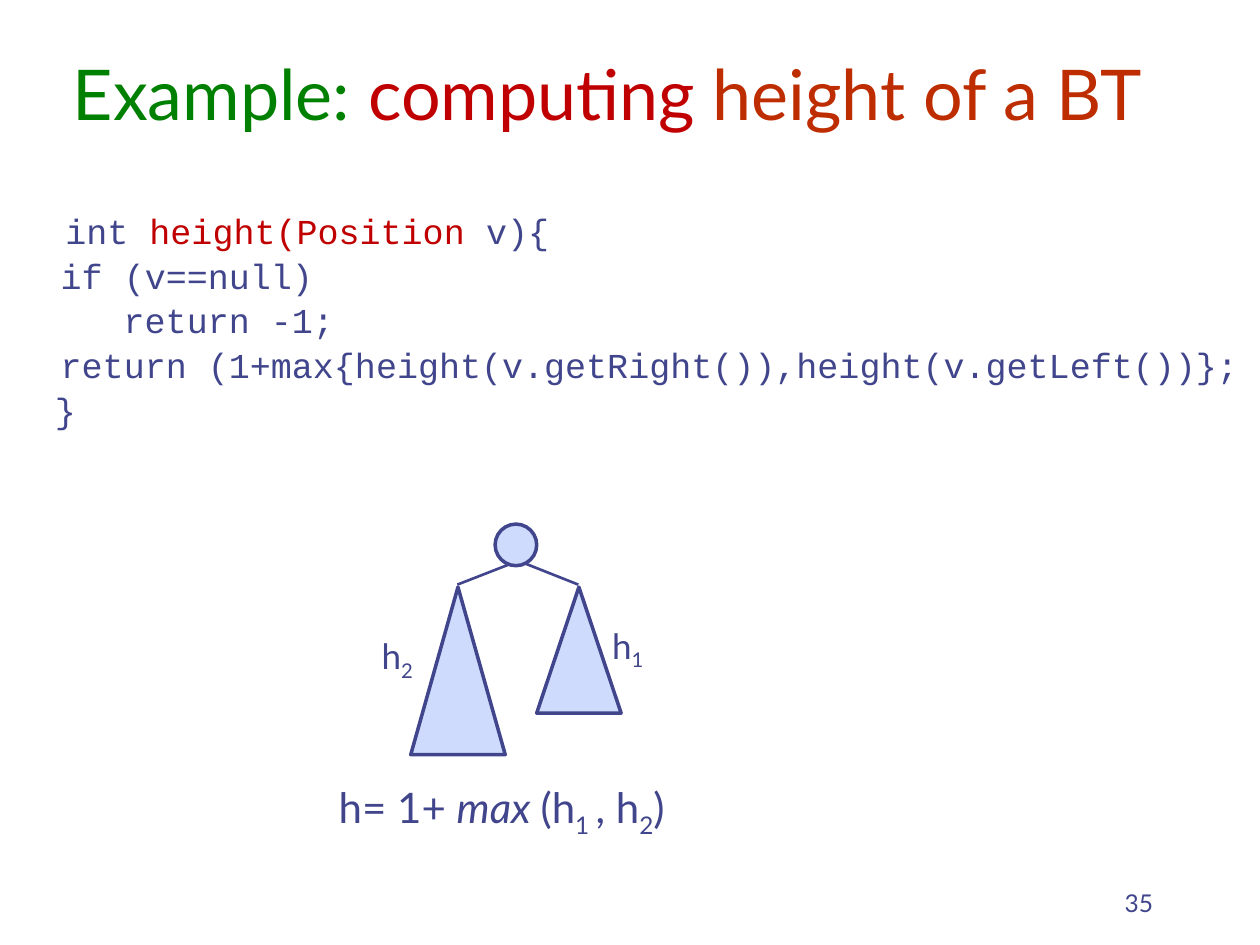
import pptx
import pptx.dml.color
import pptx.enum.shapes
import pptx.enum.text
import pptx.oxml.ns
import pptx.util
from pptx.util import Inches

INDIGO = pptx.dml.color.RGBColor(0x40, 0x45, 0x8C)
PALE_BLUE = pptx.dml.color.RGBColor(0xCF, 0xDB, 0xFD)
GREEN = pptx.dml.color.RGBColor(0x00, 0x80, 0x00)
RED = pptx.dml.color.RGBColor(0xC0, 0x00, 0x00)
RUST = pptx.dml.color.RGBColor(0xBE, 0x2D, 0x00)

ANCHOR = pptx.enum.text.MSO_ANCHOR
ALIGN = pptx.enum.text.PP_ALIGN
PRESET = pptx.enum.shapes.MSO_SHAPE

SUBSCRIPT = {"subscript": True}
CODE_LINES = [
    [("     ", {"size": 18}), ("int ", {}), ("height(Position", {"color": RED}), (" v){", {})],
    [("\t  if (v==null)", {})],
    [("\t\t  return -1;", {})],
    [("\t  return (1+max{height(v.getRight()),height(v.getLeft())};", {})],
    [("    }", {})],
]
FORMULA = [
    ("h= 1+ ", {}), ("max ", {"italic": True}), ("(h", {}), ("1 ", SUBSCRIPT),
    (", h", {}), ("2", SUBSCRIPT), (")", {}),
]


def add_run(paragraph, text, size=20, font="Lato", color=INDIGO, italic=False, subscript=False):
    run = paragraph.add_run()
    run.text = text
    run.font.size = pptx.util.Pt(size)
    run.font.name = font
    run.font.color.rgb = color
    run.font.italic = italic
    if subscript:
        run.font._element.set("baseline", "-25000")


def add_text(slide, box, lines, anchor=ANCHOR.TOP, align=ALIGN.LEFT, line_spacing=0.9,
             space_before=0, hanging=0, **run_format):
    shape = slide.shapes.add_textbox(*map(Inches, box))
    frame = shape.text_frame
    frame.word_wrap = True
    frame.vertical_anchor = anchor
    for index, line in enumerate(lines):
        paragraph = frame.paragraphs[0] if index == 0 else frame.add_paragraph()
        paragraph.alignment = align
        paragraph.line_spacing = line_spacing
        if index:
            paragraph.space_before = pptx.util.Pt(space_before)
        if hanging:
            properties = paragraph._p.get_or_add_pPr()
            properties.set("marL", str(Inches(hanging)))
            properties.set("indent", str(-Inches(hanging)))
        for text, changes in line:
            add_run(paragraph, text, **{**run_format, **changes})


def add_node(slide, preset, box):
    shape = slide.shapes.add_shape(preset, *map(Inches, box))
    shape.shadow.inherit = False
    shape.fill.solid()
    shape.fill.fore_color.rgb = PALE_BLUE
    shape.line.color.rgb = INDIGO
    shape.line.width = pptx.util.Pt(2)


def add_edge(slide, start, end):
    connector = slide.shapes.add_connector(
        pptx.enum.shapes.MSO_CONNECTOR.STRAIGHT, *map(Inches, start + end))
    connector.line.color.rgb = INDIGO
    connector.line.width = pptx.util.Pt(1.5)
    properties = connector._element.spPr
    properties.append(properties.makeelement(pptx.oxml.ns.qn("a:effectLst"), {}))


def add_tree(slide):
    add_edge(slide, (4.22, 4.41), (3.63, 4.64))
    add_edge(slide, (4.01, 4.41), (4.59, 4.64))
    add_node(slide, PRESET.ISOSCELES_TRIANGLE, (3.26, 4.66, 0.75, 1.33))
    add_node(slide, PRESET.ISOSCELES_TRIANGLE, (4.26, 4.66, 0.67, 1))
    add_node(slide, PRESET.OVAL, (3.93, 4.16, 0.33, 0.33))
    add_text(slide, (4.76, 4.91, 1.67, 0.4), [[("h", {}), ("1", SUBSCRIPT)]])
    add_text(slide, (2.93, 4.99, 0.5, 0.4), [[("h", {}), ("2", SUBSCRIPT)]])
    add_text(slide, (2.59, 6.16, 3.17, 0.46), [FORMULA], size=24)


def main():
    presentation = pptx.Presentation()
    presentation.slide_width = Inches(10)
    presentation.slide_height = Inches(7.5)
    slide = presentation.slides.add_slide(presentation.slide_layouts[6])

    title = [("Example: ", {"color": GREEN}), ("computing ", {"color": RED}),
             ("height of a BT", {"color": RUST})]
    add_text(slide, (0.48, 0.17, 9.07, 0.95), [title], anchor=ANCHOR.BOTTOM,
             line_spacing=1.0, size=40)
    add_text(slide, (-0.33, 1.65, 10.76, 1.88), CODE_LINES, space_before=4,
             hanging=0.38, font="Courier New")
    add_tree(slide)
    add_text(slide, (7.17, 6.83, 2.08, 0.5), [[("35", {})]], anchor=ANCHOR.BOTTOM,
             align=ALIGN.RIGHT, line_spacing=1.0, size=14)

    presentation.save("out.pptx")


if __name__ == "__main__":
    main()
